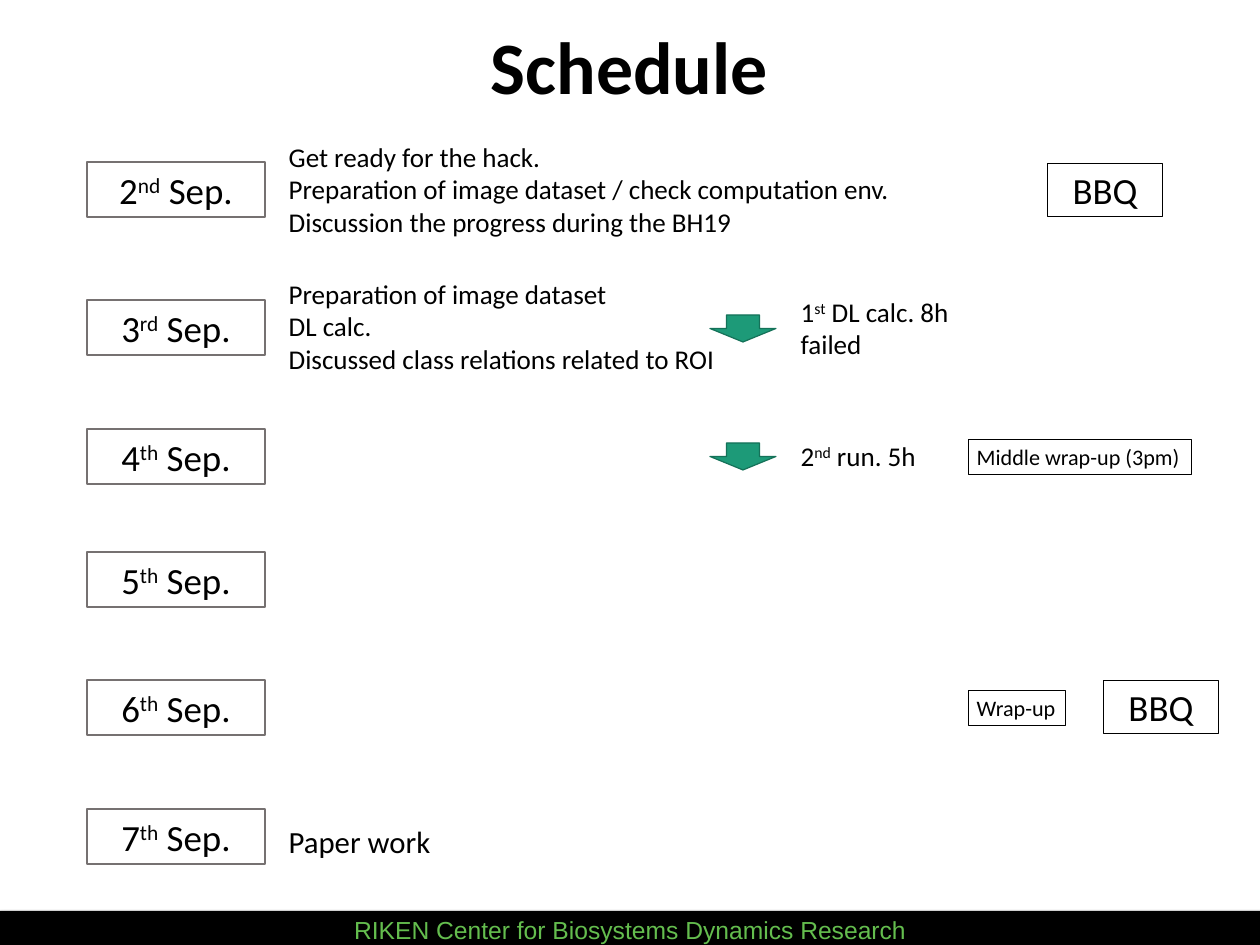
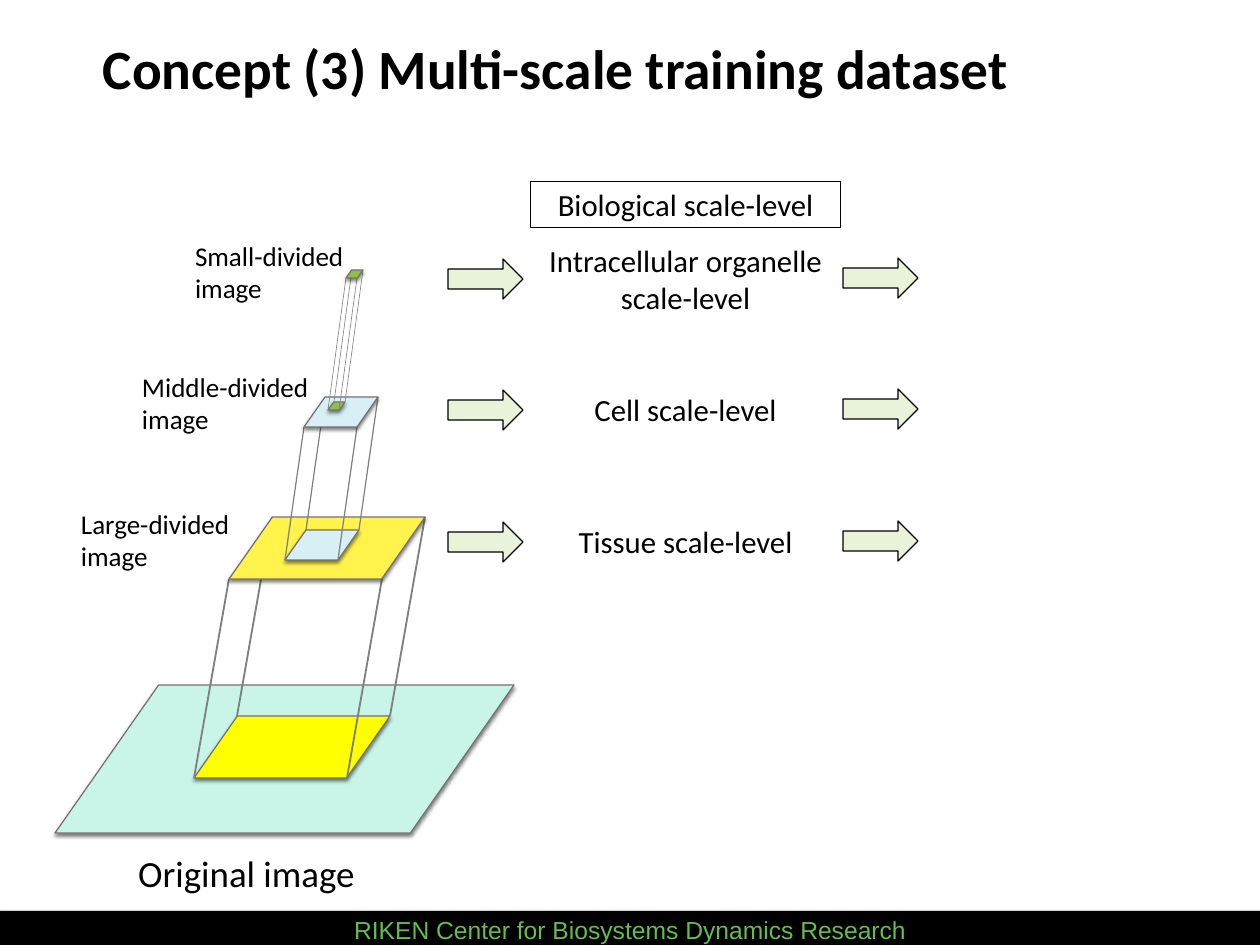
from dataclasses import dataclass

from lxml import etree
from pptx import Presentation
from pptx import util as u
from pptx.dml.color import RGBColor
from pptx.enum import shapes, text
from pptx.oxml.ns import qn

PX = 10320  # EMU per px


@dataclass
class Theme:
    body: str = "Calibri"
    footer: str = "Arial"
    black: str = "000000"
    gray: str = "767171"
    ray: str = "808080"
    footer_text: str = "64BD4E"
    down_fill: str = "1D9A78"
    down_line: str = "157259"
    arrow: str = "E8F3DA"
    mint: str = "C8F5E8"
    yellow: str = "FFFF00"
    soft_yellow: str = "FFF34C"
    sky: str = "D7EFF5"
    green: str = "8BC141"
    big: int = 30
    level: int = 25
    note: int = 22
    footer_size: int = 20
    small: int = 18


T = Theme(green="8BC145")
MSO = shapes.MSO_SHAPE
CENTER = text.PP_ALIGN.CENTER


def add_shape(s, geom, box, fill=None, line=None, width=1, shadow=None):
    """Shadow is (opacity %, blur pt, distance pt), cast straight down."""
    sp = s.shapes.add_shape(geom, *(v * PX for v in box))
    sp.shadow.inherit = False
    if fill:
        sp.fill.solid()
        sp.fill.fore_color.rgb = RGBColor.from_string(fill)
    else:
        sp.fill.background()
    if line:
        sp.line.color.rgb = RGBColor.from_string(line)
        sp.line.width = u.Pt(width)
    else:
        sp.line.fill.background()
    if shadow:
        alpha, blur, dist = shadow
        effects = sp.element.spPr.find(qn("a:effectLst"))
        outer = etree.SubElement(effects, qn("a:outerShdw"), blurRad=str(u.Pt(blur)),
                                 dist=str(u.Pt(dist)), dir="5400000", rotWithShape="0")
        color = etree.SubElement(outer, qn("a:srgbClr"), val=T.black)
        etree.SubElement(color, qn("a:alpha"), val=str(alpha * 1000))
    return sp


def write(sp, words, size, align=text.PP_ALIGN.LEFT, tight=False, wrap=True,
          font=T.body, color=T.black, bold=False):
    """One paragraph per line; ^marks^ enclose superscript; tight text is centred vertically."""
    tf = sp.text_frame
    tf.word_wrap = wrap
    tf.vertical_anchor = text.MSO_ANCHOR.MIDDLE if tight else text.MSO_ANCHOR.TOP
    if tight:
        tf.margin_left = tf.margin_right = tf.margin_top = tf.margin_bottom = 5 * PX
    for i, row in enumerate(words.split("\n")):
        p = tf.add_paragraph() if i else tf.paragraphs[0]
        p.alignment = align
        p.font.name, p.font.size, p.font.bold = font, u.Pt(size), bold
        p.font.color.rgb = RGBColor.from_string(color)
        for j, part in enumerate(row.split("^")):
            r = p.add_run()
            r.text = part
            if j % 2:
                r._r.get_or_add_rPr().set("baseline", "30000")
    return tf


prs = Presentation()
prs.slide_width, prs.slide_height = 1260 * PX, 945 * PX

# Title, band and footer
slides = []
for title, size, box in [
    ("Schedule", 60, (157, 32, 945, 83)),
    ("Concept (3) Multi-scale training dataset", 45, (83, 41, 945, 65)),
]:
    s = prs.slides.add_slide(prs.slide_layouts[6])
    add_shape(s, MSO.RECTANGLE, (0, 911, 1262, 36), T.black, shadow=(35, 3, 1.8))
    sp = s.shapes.add_textbox(*(v * PX for v in (349, 910, 563, 39)))
    write(sp, "RIKEN Center for Biosystems Dynamics Research", T.footer_size,
          tight=True, font=T.footer, color=T.footer_text)
    sp = s.shapes.add_textbox(*(v * PX for v in box))
    tf = write(sp, title, size, CENTER, tight=True, bold=True)
    tf.paragraphs[0].line_spacing = 0.8
    slides.append(s)
schedule, concept = slides

# Schedule: dates
for day, y in [("2^nd^", 162), ("3^rd^", 300), ("4^th^", 429),
               ("5^th^", 552), ("6^th^", 680), ("7^th^", 809)]:
    sp = add_shape(schedule, MSO.RECTANGLE, (87, y, 178, 55), line=T.gray)
    write(sp, day + " Sep.", T.big, CENTER, tight=True)

# Schedule: work and runs
for words, size, box in [
    ("Get ready for the hack.\nPreparation of image dataset / check computation env.\n"
     "Discussion the progress during the BH19", T.note, (280, 136, 812, 107)),
    ("Preparation of image dataset\nDL calc.\nDiscussed class relations related to ROI",
     T.note, (280, 273, 447, 107)),
    ("Paper work", T.level, (280, 818, 258, 46)),
    ("1^st^ DL calc. 8h\nfailed", T.note, (792, 291, 176, 74)),
    ("2^nd^ run. 5h", T.note, (792, 435, 176, 42)),
]:
    write(schedule.shapes.add_textbox(*(v * PX for v in box)), words, size)

for y in (315, 443):
    add_shape(schedule, MSO.DOWN_ARROW, (710, y, 66, 27), T.down_fill, T.down_line)

# Schedule: events
for x, y in [(1047, 163), (1103, 680)]:
    sp = add_shape(schedule, MSO.RECTANGLE, (x, y, 116, 54), line=T.black, width=0.75)
    write(sp, "BBQ", T.big, CENTER)
for words, y, w in [("Middle wrap-up (3pm)", 439, 223), ("Wrap-up", 690, 97)]:
    sp = add_shape(schedule, MSO.RECTANGLE, (968, y, w, 35), line=T.black, width=0.75)
    write(sp, words, T.small, wrap=False)

# Concept: labels of the divided images
for words, size, align, box in [
    ("Small-divided image", T.note, text.PP_ALIGN.LEFT, (190, 234, 196, 75)),
    ("Middle-divided image", T.note, text.PP_ALIGN.LEFT, (137, 365, 196, 75)),
    ("Large-divided image", T.note, text.PP_ALIGN.LEFT, (76, 502, 183, 75)),
    ("Original image", T.big, CENTER, (116, 845, 261, 55)),
]:
    write(concept.shapes.add_textbox(*(v * PX for v in box)), words, size, align, tight=True)

# Concept: each tile is lifted out of the plane below it
SLANT = 0.7
planes = [((55, 685, 459, 148), T.mint)]
lifts = [
    ((196, 62), (194, 716), (229, 517), T.yellow, T.soft_yellow, 1.5),
    ((74, 30), (285, 530), (304, 397), T.sky, T.sky, 1),
    ((17, 8), (328, 402), (346, 270), T.green, T.green, 0.5),
]
for (w, h), low, high, low_fill, high_fill, ray_width in lifts:
    planes.append(((*low, w, h), low_fill))
    for box, fill in planes:
        sp = add_shape(concept, MSO.PARALLELOGRAM, box, fill, T.gray, shadow=(50, 3, 2))
        sp.adjustments[0] = SLANT
    shift = round(SLANT * h)
    for dx, dy in [(0, h), (w - shift, h), (w, 0), (shift, 0)]:
        ends = [v * PX for x, y in (high, low) for v in (x + dx, y + dy)]
        ray = concept.shapes.add_connector(shapes.MSO_CONNECTOR.STRAIGHT, *ends)
        ray.line.color.rgb = RGBColor.from_string(T.ray)
        ray.line.width = u.Pt(ray_width)
        etree.SubElement(ray.element.spPr, qn("a:effectLst"))
    planes = [((*high, w, h), high_fill)]
for box, fill in planes:
    sp = add_shape(concept, MSO.PARALLELOGRAM, box, fill, T.gray, shadow=(50, 3, 2))
    sp.adjustments[0] = SLANT

# Concept: biological scale levels
sp = add_shape(concept, MSO.RECTANGLE, (530, 181, 311, 46), line=T.black, width=0.75)
write(sp, "Biological scale-level", T.level, CENTER)
for words, y, h, arrow_y in [
    ("Intracellular organelle\nscale-level", 237, 84, 259),
    ("Cell scale-level", 386, 46, 390),
    ("Tissue scale-level", 518, 46, 522),
]:
    sp = concept.shapes.add_textbox(*(v * PX for v in (530, y, 311, h)))
    write(sp, words, T.level, CENTER)
    for x, top in [(448, arrow_y), (843, arrow_y - 1)]:
        add_shape(concept, MSO.RIGHT_ARROW, (x, top, 75, 40), T.arrow, T.black)

prs.save("out.pptx")
